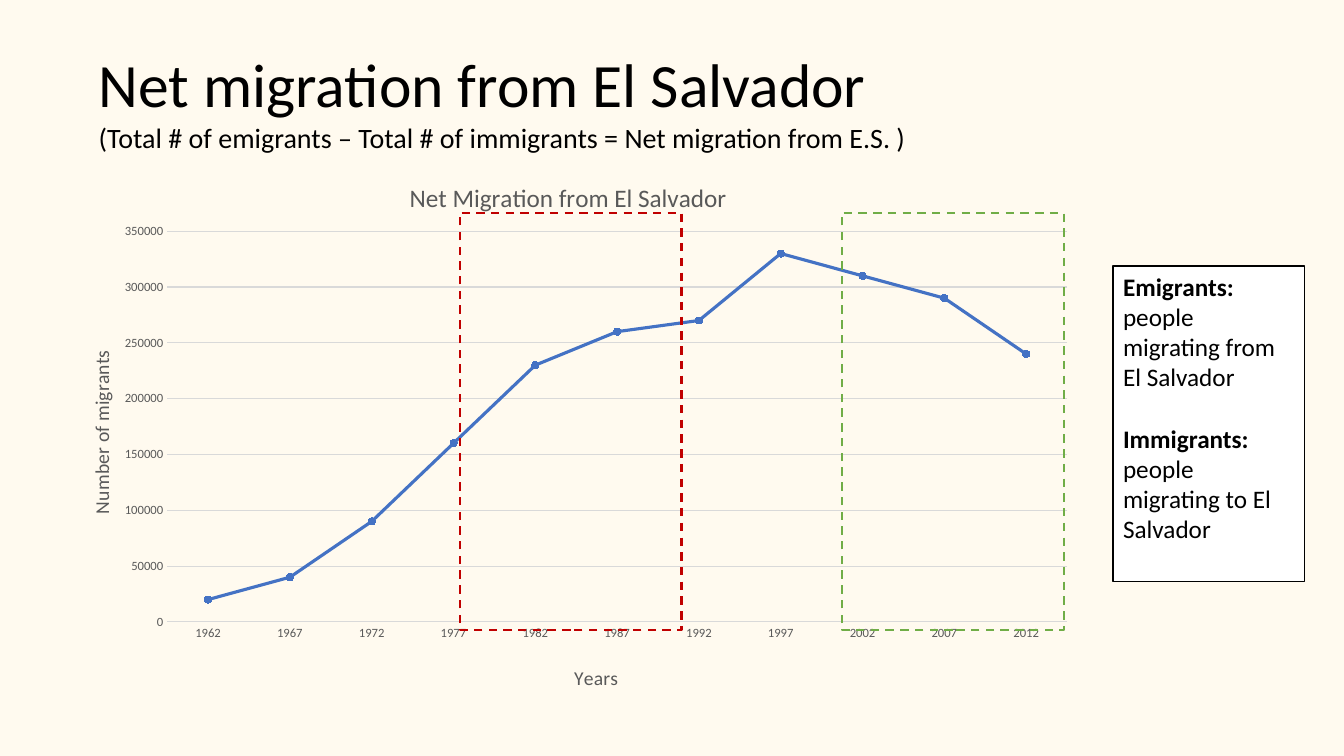
from lxml import etree
from pptx import Presentation
from pptx.chart.data import CategoryChartData
from pptx.dml.color import RGBColor
from pptx.enum.chart import XL_CHART_TYPE, XL_MARKER_STYLE, XL_TICK_MARK
from pptx.enum.dml import MSO_LINE
from pptx.enum.shapes import MSO_SHAPE
from pptx.enum.text import MSO_ANCHOR, MSO_AUTO_SIZE, PP_ALIGN
from pptx.oxml.ns import qn
from pptx.util import Inches, Pt

LINE = XL_CHART_TYPE.LINE_MARKERS
CIRCLE = XL_MARKER_STYLE.CIRCLE
NO_TICK = XL_TICK_MARK.NONE
DASH = MSO_LINE.DASH
RECT = MSO_SHAPE.RECTANGLE
LEFT = PP_ALIGN.LEFT
TOP, MIDDLE = MSO_ANCHOR.TOP, MSO_ANCHOR.MIDDLE
NO_FIT = MSO_AUTO_SIZE.NONE

COLORS = {"page": "FFFAEF", "ink": "000000", "gray": "595959", "grid": "D9D9D9",
          "blue": "4472C4", "red": "C00000", "green": "70AD47", "white": "FFFFFF"}

YEARS = [str(year) for year in range(1962, 2013, 5)]
NET = [20000, 40000, 90000, 160000, 230000, 260000,
       270000, 330000, 310000, 290000, 240000]
TERMS = [("Emigrants: ", "people migrating from El Salvador"),
         ("Immigrants: ", "people migrating to El Salvador")]


def rgb(name):
    return RGBColor.from_string(COLORS[name])


def style(font, size, color="ink", bold=False):
    for key, value in {"name": "Calibri", "size": Pt(size), "bold": bold}.items():
        setattr(font, key, value)
    font.color.rgb = rgb(color)


def stroke(line, color, width):
    line.color.rgb = rgb(color)
    line.width = Pt(width)


def place(item, index, **parts):
    """Give a chart part a manual layout in fractions of the chart."""
    for old in item.findall(qn("c:layout")):
        item.remove(old)
    layout = etree.Element(qn("c:layout"))
    manual = etree.SubElement(layout, qn("c:manualLayout"))
    for key, value in parts.items():
        etree.SubElement(manual, qn("c:" + key)).set("val", str(value))
    item.insert(index, layout)


def label(title, text, size, x, y, turn=0):
    frame = title.text_frame
    frame.text = text
    style(frame.paragraphs[0].runs[0].font, size, "gray")
    for body in title._element.xpath(".//a:bodyPr"):
        body.set("rot", str(turn * 60000))
    place(title._element, 1, xMode="edge", yMode="edge", x=x, y=y)


def add_head(slide, x, y, w, h):
    # Title
    title = slide.shapes.title
    for key, value in {"left": x, "top": y, "width": w, "height": h}.items():
        setattr(title, key, Inches(value))
    frame = title.text_frame
    frame.text = "Net migration from El Salvador"
    frame.auto_size, frame.vertical_anchor = NO_FIT, MIDDLE
    para = frame.paragraphs[0]
    para.alignment, para.line_spacing = LEFT, 0.9
    style(para.runs[0].font, 44)

    # Formula line
    box = slide.shapes.add_textbox(Inches(x), Inches(y + 1.01), Inches(8.39), Inches(0.44))
    frame = box.text_frame
    frame.word_wrap = True
    frame.text = "(Total # of emigrants – Total # of immigrants = Net migration from E.S. )"
    style(frame.paragraphs[0].runs[0].font, 20)


def add_graph(slide, x, y, w, h):
    data = CategoryChartData()
    data.categories = YEARS
    data.add_series("Series 1", NET)
    box = [Inches(n) for n in (x, y, w, h)]
    chart = slide.shapes.add_chart(LINE, *box, data).chart
    style(chart.font, 10)
    chart.has_legend = False
    chart.has_title = True
    label(chart.chart_title, "Net Migration from El Salvador", 18, 0.34, 0.04)

    # Axes
    years, count = chart.category_axis, chart.value_axis
    for axis in (years, count):
        axis.major_tick_mark = axis.minor_tick_mark = NO_TICK
        style(axis.tick_labels.font, 9, "gray")
    label(years.axis_title, "Years", 14, 0.5, 0.92)
    label(count.axis_title, "Number of migrants", 14, 0.03, 0.35, -90)
    stroke(years.format.line, "grid", 0.75)
    count.format.line.fill.background()
    stroke(count.major_gridlines.format.line, "grid", 0.75)
    count.minimum_scale, count.maximum_scale, count.major_unit = 0, 350000, 50000

    # Line and markers
    plot = chart.plots[0]
    plot.vary_by_categories = False
    series = plot.series[0]
    series.smooth = False
    stroke(series.format.line, "blue", 2.25)
    mark = series.marker
    mark.style, mark.size = CIRCLE, 5
    mark.format.fill.solid()
    mark.format.fill.fore_color.rgb = rgb("blue")
    stroke(mark.format.line, "blue", 0.75)
    area = chart._chartSpace.find(".//" + qn("c:plotArea"))
    place(area, 0, layoutTarget="inner", xMode="edge", yMode="edge",
          x=0.11, y=0.14, w=0.87, h=0.71)


def add_rect(slide, x, y, w, h, color, width):
    box = slide.shapes.add_shape(RECT, Inches(x), Inches(y), Inches(w), Inches(h))
    box.shadow.inherit = False
    box.fill.background()
    stroke(box.line, color, width)
    return box


def add_span(slide, x, y, w, h, color):
    add_rect(slide, x, y, w, h, color, 1.5).line.dash_style = DASH


def add_terms(slide, x, y, w, h):
    box = add_rect(slide, x, y, w, h, "ink", 1)
    box.fill.solid()
    box.fill.fore_color.rgb = rgb("white")
    frame = box.text_frame
    frame.word_wrap, frame.vertical_anchor = True, TOP
    for i, term in enumerate(TERMS):
        para = frame.add_paragraph() if i else frame.paragraphs[0]
        para.alignment = LEFT
        if i:
            para.space_before = Pt(22)
        for text, bold in zip(term, (True, False)):
            run = para.add_run()
            run.text = text
            style(run.font, 18, bold=bold)


def main():
    deck = Presentation()
    deck.slide_width, deck.slide_height = Inches(13.33), Inches(7.5)
    slide = deck.slides.add_slide(deck.slide_layouts[5])
    slide.background.fill.solid()
    slide.background.fill.fore_color.rgb = rgb("page")

    add_graph(slide, 0.53, 1.53, 10.26, 5.46)
    add_head(slide, 0.88, 0.14, 10.86, 1.45)
    for x, color in ((4.56, "red"), (8.35, "green")):
        add_span(slide, x, 2.11, 2.2, 4.14, color)
    add_terms(slide, 11.04, 2.64, 1.9, 3.13)
    deck.save("out.pptx")


if __name__ == "__main__":
    main()
